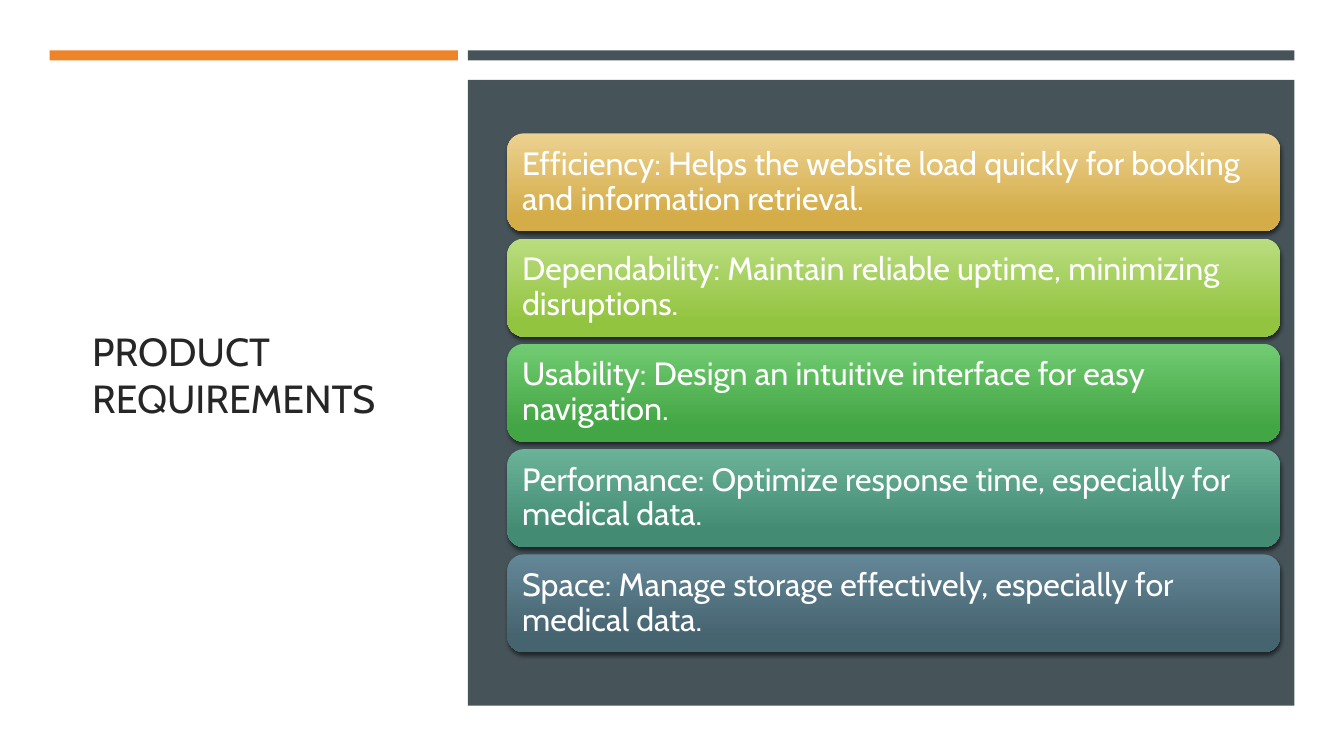
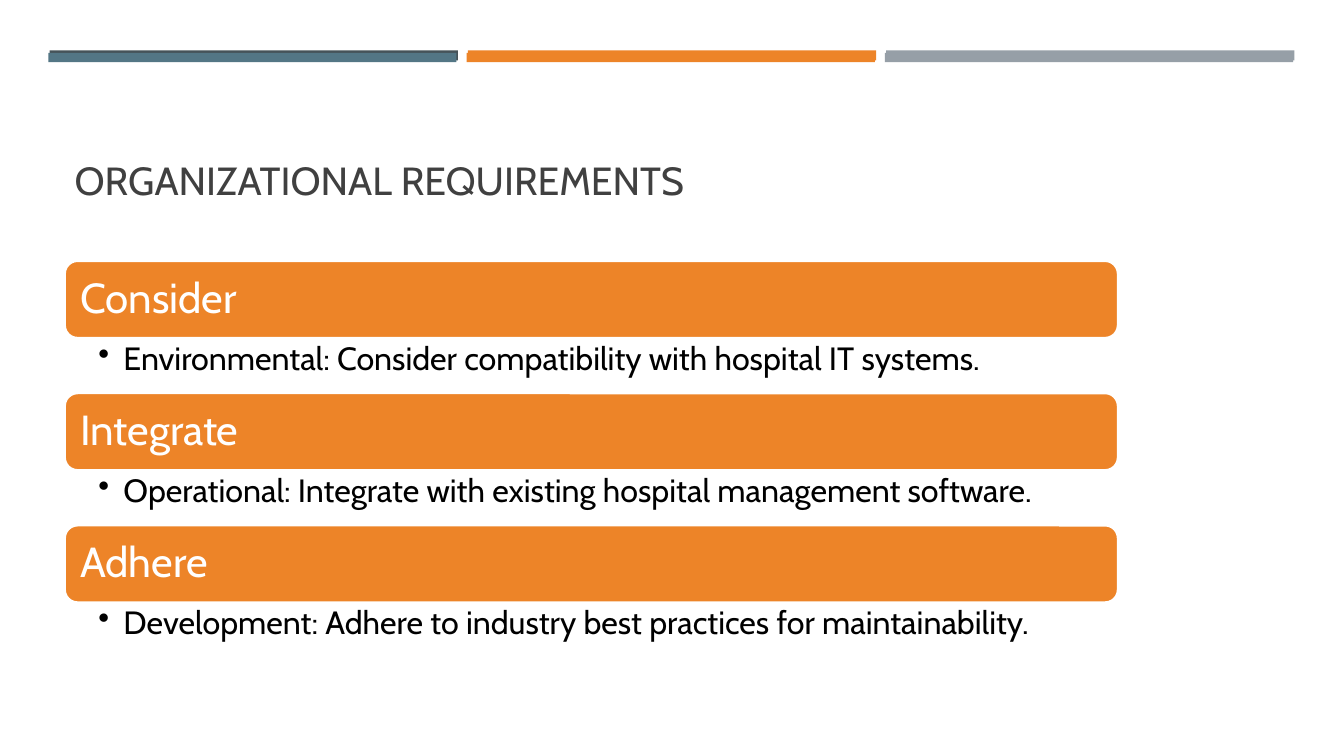
from lxml import etree
from pptx import Presentation
from pptx.dml.color import RGBColor
from pptx.enum.shapes import MSO_SHAPE as Shape
from pptx.enum.text import MSO_ANCHOR as Anchor, PP_ALIGN as Align
from pptx.oxml.ns import qn
from pptx.util import Pt

COLUMNS, ROWS = 160, 90
CELL = Pt(6)  # grid cells are square

FONT = "Cabin"
WHITE, BLACK = "FFFFFF", "000000"
SLATE, ORANGE, GRAY, TEAL = "465359", "ED8428", "969FA7", "537685"

BAND_LEFT, BAND_TOP, BAND_HEIGHT = 5.9, 6, 1.2
BAND_WIDTH, BAND_GAP = 48.6, 1.2
BAND_PITCH = BAND_WIDTH + BAND_GAP


def color(hex_string):
    return RGBColor.from_string(hex_string)


def cells(count):
    return round(count * CELL)


def band_span(count):
    """Width of neighbouring bands together with the gaps between them."""
    return count * BAND_PITCH - BAND_GAP


class Deck:
    """Holds the shared style and the slide being built."""

    def __init__(self):
        self.presentation = Presentation()
        self.presentation.slide_width = cells(COLUMNS)
        self.presentation.slide_height = cells(ROWS)
        self.slide = None

    def new_slide(self):
        layout = self.presentation.slide_layouts[6]
        self.slide = self.presentation.slides.add_slide(layout)
        fill = self.slide.background.fill
        fill.solid()
        fill.fore_color.rgb = color(WHITE)

    def block(self, box, fill, kind=Shape.RECTANGLE, line=None):
        """Add a shape; fill is one colour or a (top, bottom) pair."""
        shape = self.slide.shapes.add_shape(kind, *map(cells, box))
        shape.shadow.inherit = False
        if isinstance(fill, tuple):
            shape.fill.gradient()
            shape.fill.gradient_angle = 270
            stops = zip(shape.fill.gradient_stops, fill, (0, 0.84))
            for stop, stop_color, position in stops:
                stop.color.rgb = color(stop_color)
                stop.position = position
        else:
            shape.fill.solid()
            shape.fill.fore_color.rgb = color(fill)
        if line:
            shape.line.color.rgb = color(line)
            shape.line.width = Pt(1.75)
        else:
            shape.line.fill.background()
        return shape

    def band(self, column, fill, span=1, shift=(0, 0), height=BAND_HEIGHT):
        left = BAND_LEFT + column * BAND_PITCH + shift[0]
        self.block((left, BAND_TOP + shift[1], band_span(span), height), fill)

    def drop_shadow(self, shape):
        effects = shape._element.spPr.find(qn("a:effectLst"))
        shadow = etree.SubElement(
            effects, qn("a:outerShdw"), blurRad=str(Pt(3)), dist=str(Pt(2)),
            dir="5400000", algn="ctr", rotWithShape="0")
        shadow_color = etree.SubElement(shadow, qn("a:srgbClr"), val=BLACK)
        etree.SubElement(shadow_color, qn("a:alpha"), val="55000")

    def set_text(self, shape, text, size, text_color, insets,
                 anchor=Anchor.MIDDLE, spacing=0.9):
        """Fill a shape with one paragraph; insets are left, top, right, bottom."""
        frame = shape.text_frame
        frame.word_wrap = True
        frame.vertical_anchor = anchor
        (frame.margin_left, frame.margin_top,
         frame.margin_right, frame.margin_bottom) = map(cells, insets)
        frame.text = text
        paragraph = frame.paragraphs[0]
        paragraph.alignment = Align.LEFT
        paragraph.line_spacing = spacing
        font = paragraph.runs[0].font
        font.name, font.size = FONT, Pt(size)
        font.color.rgb = color(text_color)
        return paragraph

    def text_box(self, box):
        return self.slide.shapes.add_textbox(*map(cells, box))

    def title(self, box, text, text_color, anchor):
        self.set_text(self.text_box(box), text, 28, text_color,
                      (1.2, 0.6, 1.2, 0.6), anchor, 1.0)

    def card(self, box, text, fill):
        shape = self.block(box, fill, Shape.ROUNDED_RECTANGLE)
        self.drop_shadow(shape)
        self.set_text(shape, text, 23, WHITE, (1.2,) * 4)

    def heading_bar(self, box, text):
        shape = self.block(box, ORANGE, Shape.ROUNDED_RECTANGLE, WHITE)
        self.set_text(shape, text, 30, WHITE, (1.4,) * 4)

    def bullet(self, box, text):
        paragraph = self.set_text(self.text_box(box), text, 23, BLACK,
                                  (4, 0.5, 2.8, 0.5), Anchor.TOP)
        properties = paragraph._p.get_or_add_pPr()
        properties.set("marL", str(cells(3)))
        properties.set("indent", str(-cells(3)))
        etree.SubElement(properties, qn("a:buChar"), char="•")


def product_slide(deck):
    deck.new_slide()
    deck.title((9.8, 13.7, 40.1, 61.8), "PRODUCT REQUIREMENTS", "262626",
               Anchor.MIDDLE)
    deck.band(0, ORANGE)
    deck.band(1, SLATE, span=2)
    deck.block((BAND_LEFT + BAND_PITCH, 9.5, band_span(2), 74.5), SLATE)

    cards = [
        ("Efficiency: Helps the website load quickly for booking and "
         "information retrieval.", ("ECD190", "D4AD49")),
        ("Dependability: Maintain reliable uptime, minimizing disruptions.",
         ("BADD7F", "93C440")),
        ("Usability: Design an intuitive interface for easy navigation.",
         ("71CB72", "43A644")),
        ("Performance: Optimize response time, especially for medical data.",
         ("6AB298", "438C73")),
        ("Space: Manage storage effectively, especially for medical data.",
         ("648797", "466370")),
    ]
    for row, (text, fill) in enumerate(cards):
        deck.card((60.4, 15.88 + row * 12.53, 92, 11.66), text, fill)


def organizational_slide(deck):
    deck.new_slide()
    for column, (back, front) in enumerate(
            [(SLATE, TEAL), (ORANGE, ORANGE), (GRAY, GRAY)]):
        deck.band(column, back)
        deck.band(column, front, shift=(-0.15, 0.3), height=1.1)
    deck.title((7.7, 9.2, 144.7, 15.6), "ORGANIZATIONAL REQUIREMENTS",
               "404040", Anchor.BOTTOM)

    requirements = [
        ("Consider",
         "Environmental: Consider compatibility with hospital IT systems."),
        ("Integrate",
         "Operational: Integrate with existing hospital management software."),
        ("Adhere",
         "Development: Adhere to industry best practices for maintainability."),
    ]
    left, width, bar_height, bullet_height = 7.7, 125.4, 9.2, 6.5
    for row, (heading, detail) in enumerate(requirements):
        top = 31.05 + row * 15.74
        deck.heading_bar((left, top, width, bar_height), heading)
        deck.bullet((left, top + bar_height, width, bullet_height), detail)


def main():
    deck = Deck()
    product_slide(deck)
    organizational_slide(deck)
    deck.presentation.save("out.pptx")


if __name__ == "__main__":
    main()
